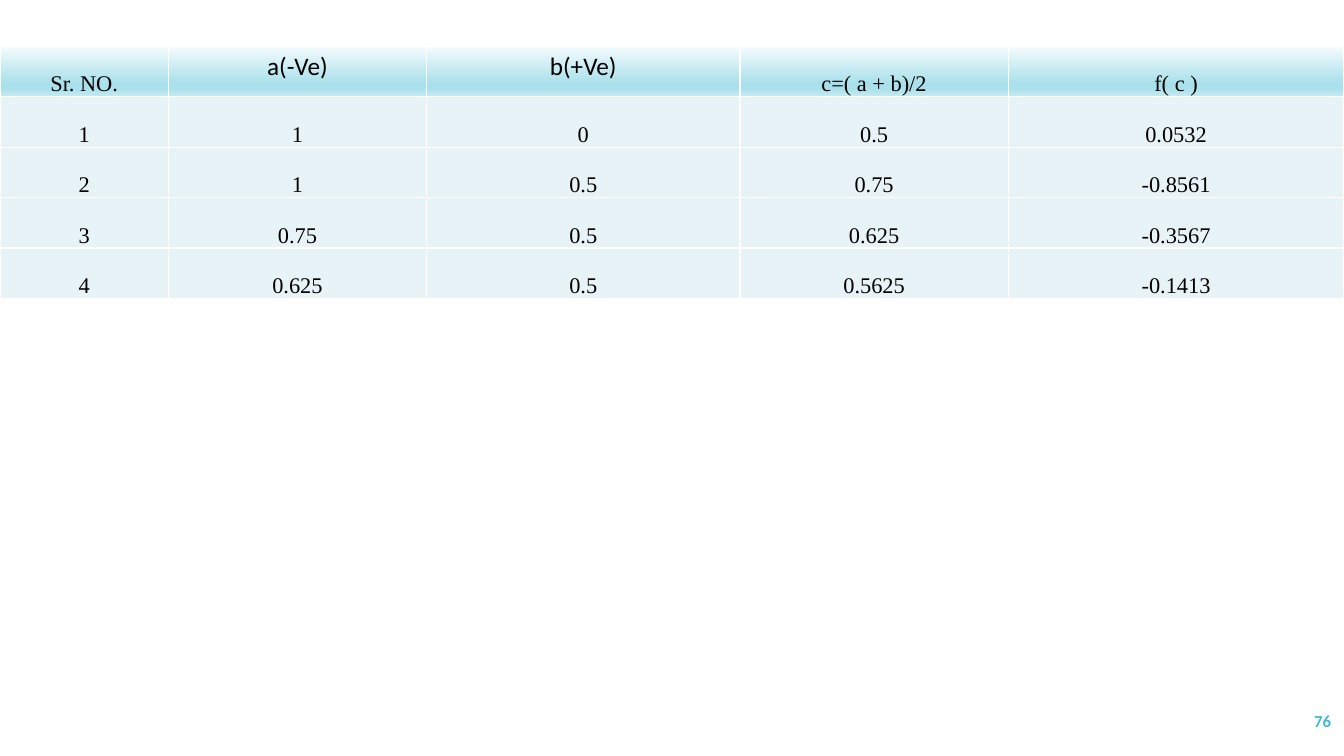
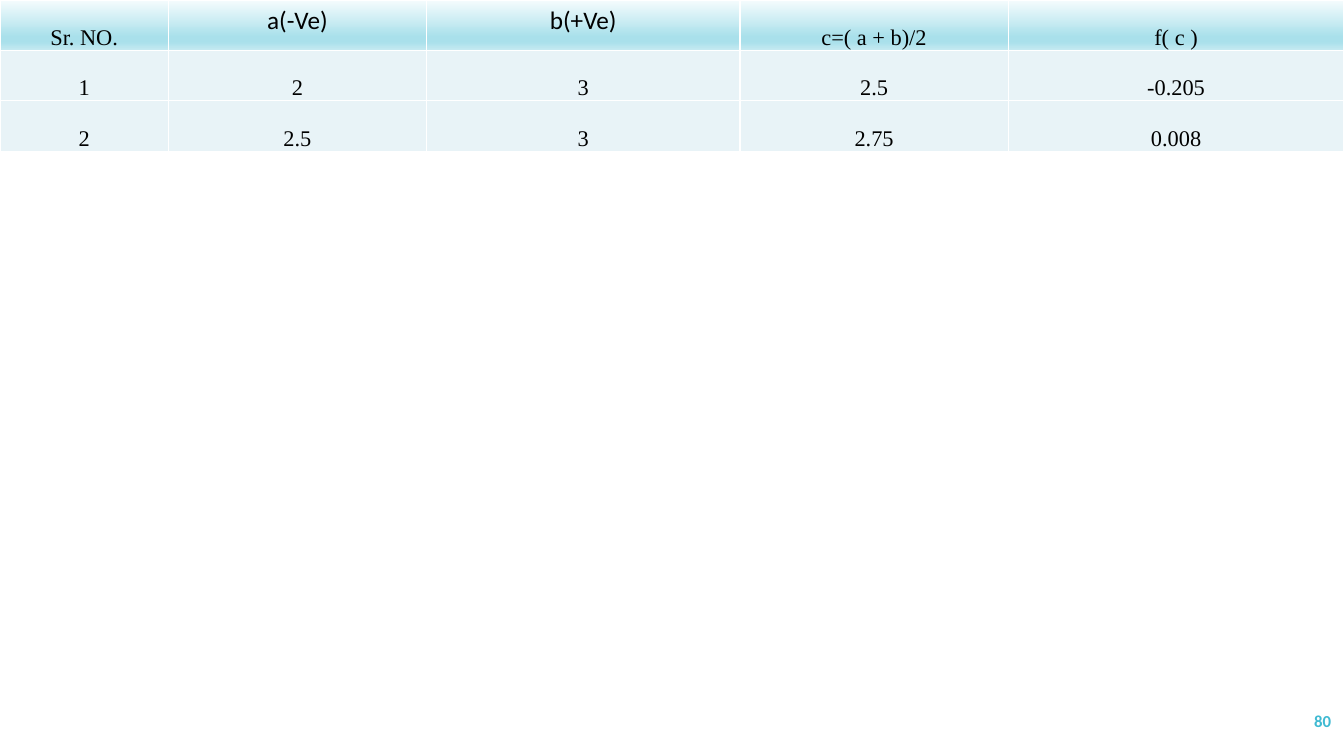
import pptx
import pptx.dml.color
import pptx.enum.text
import pptx.oxml.ns
import pptx.util
from lxml import etree

Inches = pptx.util.Inches
Pt = pptx.util.Pt
RGBColor = pptx.dml.color.RGBColor
PP_ALIGN = pptx.enum.text.PP_ALIGN
MSO_ANCHOR = pptx.enum.text.MSO_ANCHOR
qn = pptx.oxml.ns.qn

BLACK = RGBColor(0x00, 0x00, 0x00)
WHITE = RGBColor(0xFF, 0xFF, 0xFF)
BODY_FILL = RGBColor(0xE8, 0xF3, 0xF7)
PAGE_NUMBER_COLOR = RGBColor(0x40, 0xBA, 0xD2)
HEADER_TOP = RGBColor(0xF5, 0xFC, 0xFD)
HEADER_BAND = RGBColor(0xA9, 0xE0, 0xEB)
HEADER_BOTTOM = RGBColor(0xC6, 0xEA, 0xF1)
HEADER_STOPS = [(0, HEADER_TOP), (74, HEADER_BAND), (83, HEADER_BAND), (100, HEADER_BOTTOM)]

SANS = "Calibri"
SERIF = "Times New Roman"
SLIDE_WIDTH, SLIDE_HEIGHT = 13.33, 7.5
COLUMN_WIDTHS = [1.67, 2.56, 3.11, 2.66, 3.33]
ROW_HEIGHT = 0.5
PAGE_NUMBER_BOX = (11.63, 6.95, 1.67, 0.4)

HEADERS = ["Sr. NO.", "a(-Ve)", "b(+Ve)", "c=( a + b)/2", "f( c )"]
SANS_HEADERS = ("a(-Ve)", "b(+Ve)")
SLIDES = [
    (0.46, "76", [
        ["1", "1", "0", "0.5", "0.0532"],
        ["2", "1", "0.5", "0.75", "-0.8561"],
        ["3", "0.75", "0.5", "0.625", "-0.3567"],
        ["4", "0.625", "0.5", "0.5625", "-0.1413"],
    ]),
    (0, "80", [
        ["1", "2", "3", "2.5", "-0.205"],
        ["2", "2.5", "3", "2.75", "0.008"],
    ]),
]


def format_paragraph(paragraph, font_name, size, color, alignment, bold=False):
    paragraph.alignment = alignment
    for run in paragraph.runs:
        run.font.name = font_name
        run.font.size = Pt(size)
        run.font.bold = bold
        run.font.color.rgb = color


def add_solid_color(parent, color):
    fill = etree.SubElement(parent, qn("a:solidFill"))
    etree.SubElement(fill, qn("a:srgbClr"), val=str(color))


def set_borders(cell):
    properties = cell._tc.get_or_add_tcPr()
    for side in ("a:lnL", "a:lnR", "a:lnT", "a:lnB"):
        line = etree.SubElement(properties, qn(side), w=str(Pt(1)))
        add_solid_color(line, WHITE)


def set_header_gradient(cell):
    gradient = etree.SubElement(cell._tc.get_or_add_tcPr(), qn("a:gradFill"), rotWithShape="1")
    stops = etree.SubElement(gradient, qn("a:gsLst"))
    for percent, color in HEADER_STOPS:
        stop = etree.SubElement(stops, qn("a:gs"), pos=str(percent * 1000))
        etree.SubElement(stop, qn("a:srgbClr"), val=str(color))
    etree.SubElement(gradient, qn("a:lin"), ang=str(90 * 60000), scaled="0")


def fill_cell(cell, text, is_header):
    cell.text_frame.text = text
    paragraph = cell.text_frame.paragraphs[0]
    if text in SANS_HEADERS:
        format_paragraph(paragraph, SANS, 18, BLACK, PP_ALIGN.CENTER)
    else:
        format_paragraph(paragraph, SERIF, 16, BLACK, PP_ALIGN.CENTER)
        cell.vertical_anchor = MSO_ANCHOR.BOTTOM
        cell.margin_left = cell.margin_right = cell.margin_top = Inches(0.01)
        cell.margin_bottom = Inches(0)
    set_borders(cell)
    if is_header:
        set_header_gradient(cell)
    else:
        cell.fill.solid()
        cell.fill.fore_color.rgb = BODY_FILL


def add_iteration_table(slide, left, top, values):
    rows = [HEADERS] + values
    table = slide.shapes.add_table(
        len(rows), len(HEADERS), Inches(left), Inches(top),
        Inches(sum(COLUMN_WIDTHS)), Inches(ROW_HEIGHT * len(rows))).table
    table.horz_banding = False
    for column, width in zip(table.columns, COLUMN_WIDTHS):
        column.width = Inches(width)
    for row_index, texts in enumerate(rows):
        table.rows[row_index].height = Inches(ROW_HEIGHT)
        for column_index, text in enumerate(texts):
            fill_cell(table.cell(row_index, column_index), text, row_index == 0)


def add_page_number(slide, box, number):
    text_frame = slide.shapes.add_textbox(*map(Inches, box)).text_frame
    text_frame.word_wrap = True
    text_frame.vertical_anchor = MSO_ANCHOR.MIDDLE
    text_frame.text = number
    format_paragraph(text_frame.paragraphs[0], SANS, 12, PAGE_NUMBER_COLOR, PP_ALIGN.RIGHT, bold=True)


def add_table_slide(presentation, table_top, number, values):
    slide = presentation.slides.add_slide(presentation.slide_layouts[6])
    slide.background.fill.solid()
    slide.background.fill.fore_color.rgb = WHITE
    add_iteration_table(slide, 0, table_top, values)
    add_page_number(slide, PAGE_NUMBER_BOX, number)


def main():
    presentation = pptx.Presentation()
    presentation.slide_width = Inches(SLIDE_WIDTH)
    presentation.slide_height = Inches(SLIDE_HEIGHT)
    for table_top, number, values in SLIDES:
        add_table_slide(presentation, table_top, number, values)
    presentation.save("out.pptx")


if __name__ == "__main__":
    main()
